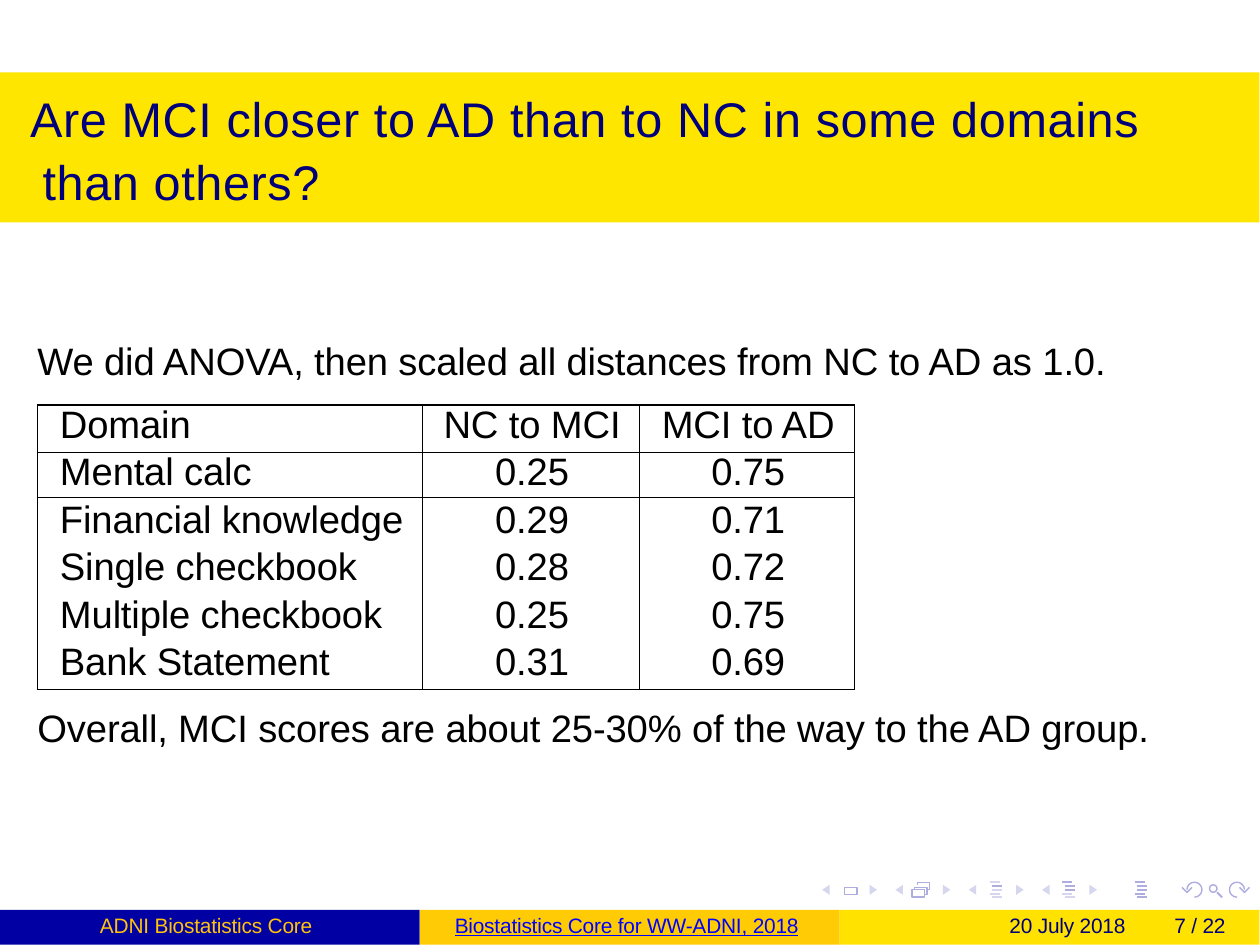
import math
import pptx
import pptx.dml.color
import pptx.enum.shapes
import pptx.enum.text
import pptx.oxml
import pptx.oxml.ns
import pptx.util
from pptx.util import Inches

SHAPE = pptx.enum.shapes.MSO_SHAPE
ALIGN = pptx.enum.text.PP_ALIGN
NAVY, BLACK, DARK, PALE = "00007A", "000000", "ADADE0", "D6D6EF"
ROWS = [
    ("Domain", "NC to MCI", "MCI to AD"),
    ("Mental calc", "0.25", "0.75"),
    ("Financial knowledge", "0.29", "0.71"),
    ("Single checkbook", "0.28", "0.72"),
    ("Multiple checkbook", "0.25", "0.75"),
    ("Bank Statement", "0.31", "0.69"),
]


def tint(target, color):
    target.rgb = pptx.dml.color.RGBColor.from_string(color)


def put(target, values):
    for key, value in values.items():
        setattr(target, key, value)


def paint(shape, fill=None, line=None):
    shape.shadow.inherit = False
    if fill:
        shape.fill.solid()
        tint(shape.fill.fore_color, fill)
    else:
        shape.fill.background()
    if line:
        tint(shape.line.color, line)
        shape.line.width = pptx.util.Pt(0.4)
    else:
        shape.line.fill.background()
    return shape


def block(slide, box, fill=None, line=None, kind=SHAPE.RECTANGLE):
    return paint(slide.shapes.add_shape(kind, *map(Inches, box)), fill, line)


def trace(slide, points, fill=None, line=None, close=False):
    spots = [(Inches(x), Inches(y)) for x, y in points]
    maker = slide.shapes.build_freeform(*spots[0])
    maker.add_line_segments(spots[1:], close=close)
    paint(maker.convert_to_shape(), fill, line)


def stroke(slide, ends, color):
    kind = pptx.enum.shapes.MSO_CONNECTOR.STRAIGHT
    link = slide.shapes.add_connector(kind, *map(Inches, ends))
    tint(link.line.color, color)
    link.line.width = pptx.util.Pt(0.6)
    props = link._element.spPr
    props.append(props.makeelement(pptx.oxml.ns.qn("a:effectLst"), {}))


def write(frame, text, size, color, track, para=None, under=None):
    part = frame.paragraphs[0]
    put(part, para or {})
    run = part.add_run()
    run.text = text
    put(run.font, {"name": "Arial", "size": pptx.util.Pt(size), "bold": False,
                   "underline": under})
    tint(run.font.color, color)
    run._r.get_or_add_rPr().set("spc", str(track))


def bare(frame, top=0, wrap=True):
    put(frame, {"margin_left": 0, "margin_right": 0, "margin_bottom": 0,
                "margin_top": Inches(top), "word_wrap": wrap,
                "auto_size": pptx.enum.text.MSO_AUTO_SIZE.NONE,
                "vertical_anchor": pptx.enum.text.MSO_ANCHOR.TOP})


def label(slide, box, text, size, color, before, indent=0.01, under=None):
    frame = slide.shapes.add_textbox(*map(Inches, box)).text_frame
    bare(frame, 0.01, wrap=False)
    write(frame, text, size, color, -5,
          {"space_before": pptx.util.Pt(before)}, under)
    frame.paragraphs[0]._p.get_or_add_pPr().set("marL", str(Inches(indent)))


def header(slide, box):
    x, y, w, h = box
    band = block(slide, box, "FFE600")
    title = slide.shapes.title
    put(title, {"left": Inches(x + 0.1), "top": Inches(y + 0.05),
                "width": Inches(w - 0.46), "height": Inches(h - 0.08)})
    band._element.addnext(title._element)
    bare(title.text_frame)
    write(title.text_frame,
          "Are MCI closer to AD than to NC in some domains than others?",
          14, NAVY, 17, {"alignment": ALIGN.LEFT, "line_spacing": 1.07,
                         "space_before": pptx.util.Pt(0.2)})
    # The second line sits slightly right of the first
    props = title.text_frame.paragraphs[0]._p.get_or_add_pPr()
    props.set("marL", str(Inches(0.07)))
    props.set("indent", str(-Inches(0.05)))


def edge(cell, sides):
    props = cell._tc.get_or_add_tcPr()
    for side in "LRTB":
        fill = ('<a:solidFill><a:srgbClr val="000000"/></a:solidFill>'
                if side in sides else "<a:noFill/>")
        props.append(pptx.oxml.parse_xml(
            f'<a:ln{side} {pptx.oxml.ns.nsdecls("a")} w="6350">{fill}</a:ln{side}>'))


def scores(slide, box):
    grid = slide.shapes.add_table(len(ROWS), 3, *map(Inches, box)).table
    put(grid, {"first_row": False, "horz_banding": False})
    for col, width in zip(grid.columns, (1.54, 0.87, 0.86)):
        col.width = Inches(width)
    for r, row in enumerate(ROWS):
        grid.rows[r].height = Inches((0.19, 0.18, 0.19, 0.19, 0.19, 0.2)[r])
        sides = "LR" + ("T" if r < 3 else "") + ("B" if r in (0, 1, 5) else "")
        lead = pptx.util.Pt((11.9, 11.8)[r] if r < 2 else 12.6)
        for c, text in enumerate(row):
            cell = grid.cell(r, c)
            put(cell, {"margin_left": Inches(0.01 if c else 0.09),
                       "margin_right": 0, "margin_top": 0, "margin_bottom": 0})
            edge(cell, sides)
            cell.fill.background()
            write(cell.text_frame, text, 11, BLACK, -7,
                  {"line_spacing": lead,
                   "alignment": ALIGN.CENTER if c else ALIGN.LEFT})


def body(slide, box):
    x, y, w, h = box
    label(slide, (x, y, w, 0.21),
          "We did ANOVA, then scaled all distances from NC to AD as 1.0.",
          11, BLACK, 0.9)
    scores(slide, (x + 0.01, y + 0.28, 3.27, 1.14))
    label(slide, (x, y + h - 0.21, w, 0.21),
          "Overall, MCI scores are about 25-30% of the way to the AD group.",
          11, BLACK, 0.9)


def icons(slide, box):
    x, y, w, h = box
    mid = y + h / 2
    # Back and forward triangles
    for i in range(4):
        left = x + i * 0.88 / 3
        for base, tip in ((left + 0.03, left), (left + 0.19, left + 0.22)):
            trace(slide, [(base, mid - 0.02), (tip, mid), (base, mid + 0.02)],
                  PALE, close=True)
    # Single frame and stacked frames
    for dx, dy in ((0.09, 0.02), (0.36, 0.03)):
        block(slide, (x + dx, y + dy, 0.05, 0.03), line=DARK)
    for dx, dy in ((0.37, 0.02), (0.38, 0)):
        a, b = x + dx, y + dy
        trace(slide, [(a, b + 0.01), (a, b), (a + 0.05, b),
                      (a + 0.05, b + 0.03), (a + 0.04, b + 0.03)], line=DARK)
    # Outline bars
    for i, dark in enumerate(((1,), (0, 1, 2), range(5))):
        for j in range(5):
            a, b = x + 0.67 + i * 0.29 + (0.01 if j in (1, 2, 4) else 0), y + j * h / 4
            stroke(slide, (a, b, a + 0.04, b), DARK if j in dark else PALE)
    # Search lens
    block(slide, (x + 1.55, y + 0.01, 0.03, 0.03), line=DARK, kind=SHAPE.OVAL)
    stroke(slide, (x + 1.58, y + 0.04, x + 1.6, y + h), DARK)
    # Undo and redo arcs with their heads
    for dx, way in ((1.49, 1), (1.66, -1)):
        hub = x + dx
        turns = [math.radians(90 - 22.5 * k) for k in range(13)]
        trace(slide, [(hub + way * 0.03 * math.cos(t), mid + 0.03 * math.sin(t))
                      for t in turns], line=DARK)
        tip = hub - way * 0.03
        trace(slide, [(tip - 0.02, mid - 0.01), (tip, mid + 0.01),
                      (tip + 0.02, mid - 0.01)], line=DARK)


def footer(slide, box):
    x, y, w, h = box
    for i, fill in enumerate(("0000A3", "FFCB04", "FFE200")):
        block(slide, (x + i * w / 3, y, w / 3, h), fill)
    for dx, wide, text, color, indent, under in (
            (0.39, 0.89, "ADNI Biostatistics Core", "FFC20D", 0.01, None),
            (1.81, 1.42, "Biostatistics Core for WW-ADNI, 2018", "0000FF", 0.01, True),
            (4.03, 0.5, "20 July 2018", NAVY, 0.01, None),
            (4.67, 0.3, "7 / 22", NAVY, 0.03, None)):
        label(slide, (x + dx, y, wide, h - 0.01), text, 6, color, 0.7, indent, under)


def main():
    deck = pptx.Presentation()
    # A page of 363 by 272.5 points
    deck.slide_width = Inches(363 / 72)
    deck.slide_height = Inches(272.5 / 72)
    slide = deck.slides.add_slide(deck.slide_layouts[5])
    icons(slide, (3.29, 3.53, 1.7, 0.06))
    header(slide, (0, 0.29, 5.04, 0.6))
    body(slide, (0.14, 1.34, 4.46, 1.68))
    footer(slide, (0, 3.64, 5.04, 0.14))
    deck.save("out.pptx")


if __name__ == "__main__":
    main()
